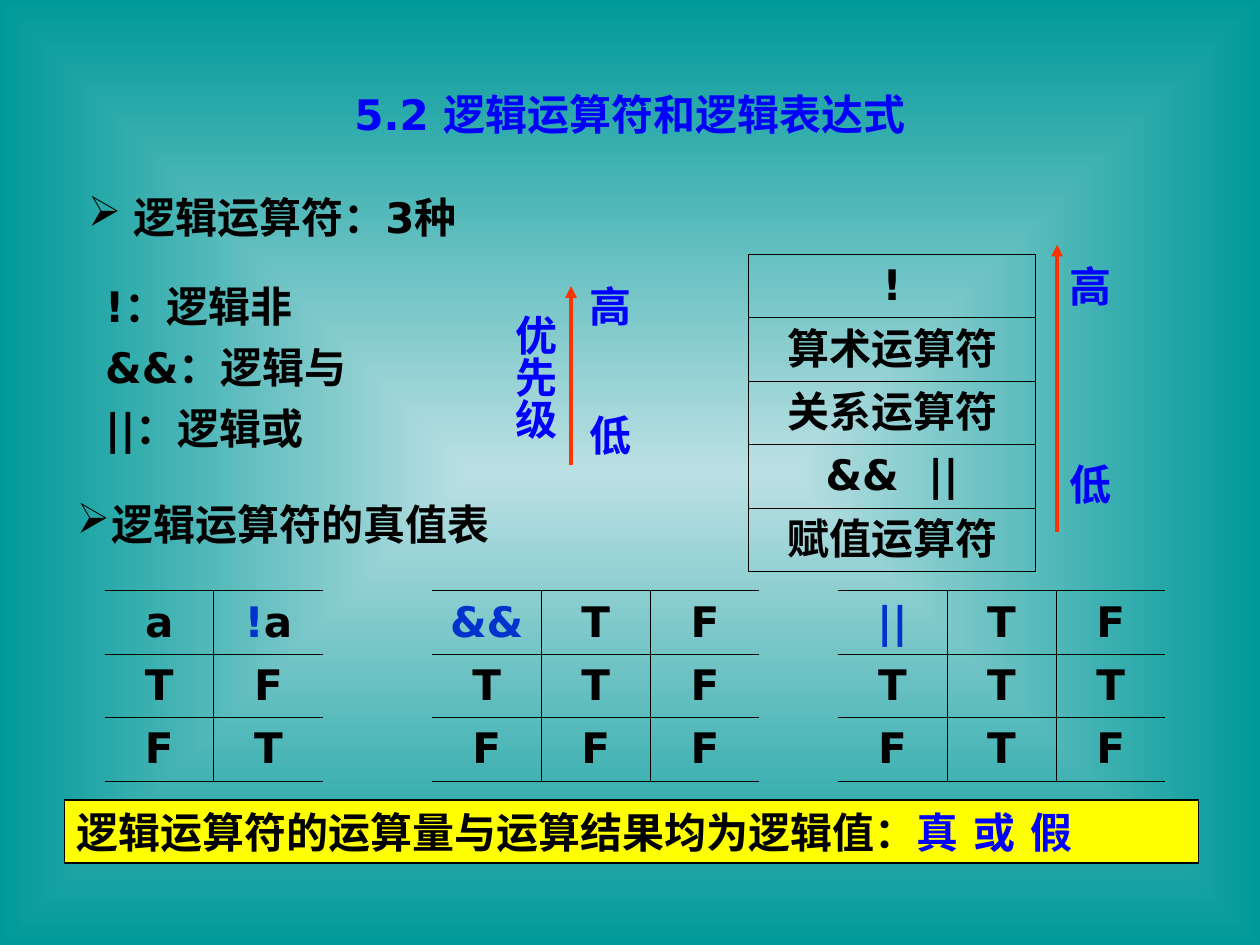
from pptx import Presentation
from pptx.dml.color import RGBColor
from pptx.enum import lang, shapes, text
from pptx.oxml import parse_xml
from pptx.oxml.ns import nsdecls, qn
from pptx.util import Cm, Pt

FONT = "DejaVu Sans"
BLACK = RGBColor(0x00, 0x00, 0x00)
BLUE = RGBColor(0x00, 0x00, 0xFF)
ROYAL = RGBColor(0x00, 0x33, 0xCC)
RED = RGBColor(0xFF, 0x33, 0x00)
YELLOW = RGBColor(0xFF, 0xFF, 0x00)
PALE = RGBColor(0xBB, 0xE0, 0xE3)
TEAL = RGBColor(0x00, 0x99, 0x99)
NO_STYLE = "{2D5ABB26-0587-4C30-8999-92F81FD0307C}"
ROW_HEIGHT = 1.11
COLUMN_WIDTH = 2.2
LINE_HEIGHT = 1.27


def xml(tag, attributes="", inner=""):
    return parse_xml(f"<a:{tag} {nsdecls('a')} {attributes}>{inner}</a:{tag}>")


def add_span(para, words, color=BLACK):
    span = para.add_run()
    span.text = words
    span.font.size = Pt(24)
    span.font.bold = True
    span.font.name = FONT
    span.font.language_id = lang.MSO_LANGUAGE_ID.SIMPLIFIED_CHINESE
    span.font.color.rgb = color
    span.font._element.find(qn("a:latin")).addnext(xml("ea", f'typeface="{FONT}"'))


def add_box(parent, left, top, width, height=LINE_HEIGHT):
    box = parent.shapes.add_textbox(Cm(left), Cm(top), Cm(width), Cm(height))
    box.text_frame.word_wrap = True
    box.text_frame.auto_size = text.MSO_AUTO_SIZE.SHAPE_TO_FIT_TEXT
    return box


def paint_background(page):
    fill = page.background.fill
    fill.gradient()
    for stop, color in zip(fill.gradient_stops, (PALE, TEAL)):
        stop.color.rgb = color
    gradient = page.element.find(".//" + qn("a:gradFill"))
    gradient.remove(gradient.find(qn("a:lin")))
    center = '<a:fillToRect l="50000" t="50000" r="50000" b="50000"/>'
    gradient.append(xml("path", 'path="rect"', center))


def add_title(page, left, top, width):
    box = add_box(page, left, top, width)
    box.text_frame.vertical_anchor = text.MSO_ANCHOR.MIDDLE
    para = box.text_frame.paragraphs[0]
    para.alignment = text.PP_ALIGN.CENTER
    add_span(para, "5.2 逻辑运算符和逻辑表达式", BLUE)


def add_heading(page, left, top, width, words, margin, hanging):
    para = add_box(page, left, top, width).text_frame.paragraphs[0]
    properties = para._p.get_or_add_pPr()
    properties.set("marL", str(Cm(margin)))
    properties.set("indent", str(-Cm(hanging)))
    properties.append(xml("buClr", inner=f'<a:srgbClr val="{BLACK}"/>'))
    properties.append(xml("buChar", 'char="➢"'))
    add_span(para, words)


def add_operators(page, left, top, width, height):
    frame = add_box(page, left, top, width, height).text_frame
    for index, words in enumerate(("!：逻辑非", "&&：逻辑与", "||：逻辑或")):
        para = frame.add_paragraph() if index else frame.paragraphs[0]
        para._p.get_or_add_pPr().set("marL", str(Cm(0.6)))
        if index:
            para.space_before = Pt(6)
        add_span(para, words)


def add_borders(cell, sides):
    properties = cell._tc.get_or_add_tcPr()
    line = f'<a:solidFill><a:srgbClr val="{BLACK}"/></a:solidFill>'
    for position, side in enumerate(side for side in "LRTB" if side in sides):
        properties.insert(position, xml(f"ln{side}", f'w="{Pt(0.45)}"', line))


def add_grid(page, left, top, column_width, rows, framed=False):
    count = len(rows[0])
    grid = page.shapes.add_table(len(rows), count, Cm(left), Cm(top),
                                 Cm(column_width * count), Cm(ROW_HEIGHT * len(rows))).table
    grid.first_row = grid.horz_banding = False
    grid._tbl.tblPr.find(qn("a:tableStyleId")).text = NO_STYLE
    for column in grid.columns:
        column.width = Cm(column_width)
    for row_index, row in enumerate(rows):
        grid.rows[row_index].height = Cm(ROW_HEIGHT)
        for column_index, spans in enumerate(row):
            cell = grid.cell(row_index, column_index)
            cell.fill.background()
            cell.vertical_anchor = text.MSO_ANCHOR.MIDDLE
            cell.margin_left = cell.margin_right = Cm(0.05)
            cell.margin_top = cell.margin_bottom = Cm(0.13)
            sides = "TB"
            if framed or column_index > 0:
                sides += "L"
            if framed or column_index < count - 1:
                sides += "R"
            add_borders(cell, sides)
            para = cell.text_frame.paragraphs[0]
            para.alignment = text.PP_ALIGN.CENTER
            for words, color in spans:
                add_span(para, words, color)


def plain(words):
    return [[(word, BLACK)] for word in words]


def add_truth_tables(page, top):
    negation = [[[("a", BLACK)], [("!", ROYAL), ("a", BLACK)]], plain("TF"), plain("FT")]
    add_grid(page, 2.11, top, COLUMN_WIDTH, negation)
    for left, operator, results in ((8.71, "&&", ("TTF", "FFF")), (16.89, "||", ("TTT", "FTF"))):
        header = [[(operator, ROYAL)]] + plain("TF")
        add_grid(page, left, top, COLUMN_WIDTH, [header] + [plain(row) for row in results])


def add_priority_scale(page, left, top, height, label_gap, high_offset, low_offset, caption=None):
    group = page.shapes.add_group_shape()
    arrow = group.shapes.add_connector(shapes.MSO_CONNECTOR.STRAIGHT, Cm(left),
                                       Cm(top + height), Cm(left), Cm(top))
    arrow.line.color.rgb = RED
    arrow.line.width = Pt(2.25)
    arrow.line._get_or_add_ln().append(xml("tailEnd", 'type="triangle"'))
    arrow._element.spPr.append(xml("effectLst"))
    for words, offset in (("高", high_offset), ("低", low_offset)):
        para = add_box(group, left + label_gap, top + offset, 1.35).text_frame.paragraphs[0]
        para.alignment = text.PP_ALIGN.CENTER
        add_span(para, words, BLUE)
    if caption:
        frame = add_box(group, left - 1.6, top + 0.33, 1.52, 2.79).text_frame
        frame.word_wrap = False
        frame.margin_left = frame.margin_right = Cm(0.13)
        frame.margin_top = frame.margin_bottom = Cm(0.25)
        frame._txBody.bodyPr.set("vert", "eaVert")
        para = frame.paragraphs[0]
        para.alignment = text.PP_ALIGN.CENTER
        add_span(para, caption, BLUE)


def add_precedence(page, left, top, width):
    names = ("!", "算术运算符", "关系运算符", "&&  ||", "赋值运算符")
    add_grid(page, left, top, width, [plain([name]) for name in names], framed=True)
    add_priority_scale(page, left + 6.22, top - 0.2, 5.79, 0, 0.2, 4.19)


def add_conclusion(page, left, top, width):
    band = page.shapes.add_shape(shapes.MSO_SHAPE.RECTANGLE, Cm(left), Cm(top),
                                 Cm(width), Cm(LINE_HEIGHT))
    band.shadow.inherit = False
    band.fill.solid()
    band.fill.fore_color.rgb = YELLOW
    band.line.color.rgb = BLACK
    band.line.width = Pt(0.75)
    frame = band.text_frame
    frame.word_wrap = True
    frame.auto_size = text.MSO_AUTO_SIZE.SHAPE_TO_FIT_TEXT
    frame.vertical_anchor = text.MSO_ANCHOR.TOP
    para = frame.paragraphs[0]
    para.alignment = text.PP_ALIGN.LEFT
    add_span(para, "逻辑运算符的运算量与运算结果均为逻辑值：")
    add_span(para, "真 或 假", BLUE)


def main():
    deck = Presentation()
    deck.slide_width, deck.slide_height = Cm(25.4), Cm(19.05)
    page = deck.slides.add_slide(deck.slide_layouts[6])
    paint_background(page)
    add_title(page, 1.27, 1.65, 22.86)
    add_heading(page, 1.27, 3.73, 22.83, "逻辑运算符：3种", 1.17, 0.91)
    add_operators(page, 1.27, 5.54, 7.24, 3.73)
    add_heading(page, 1.3, 9.93, 22.86, "逻辑运算符的真值表", 0.7, 0.7)
    add_truth_tables(page, 11.91)
    add_priority_scale(page, 11.51, 5.77, 3.6, 0.12, -0.23, 2.36, "优先级")
    add_precedence(page, 15.09, 5.13, 5.79)
    add_conclusion(page, 1.3, 16.13, 22.86)
    deck.save("out.pptx")


if __name__ == "__main__":
    main()
